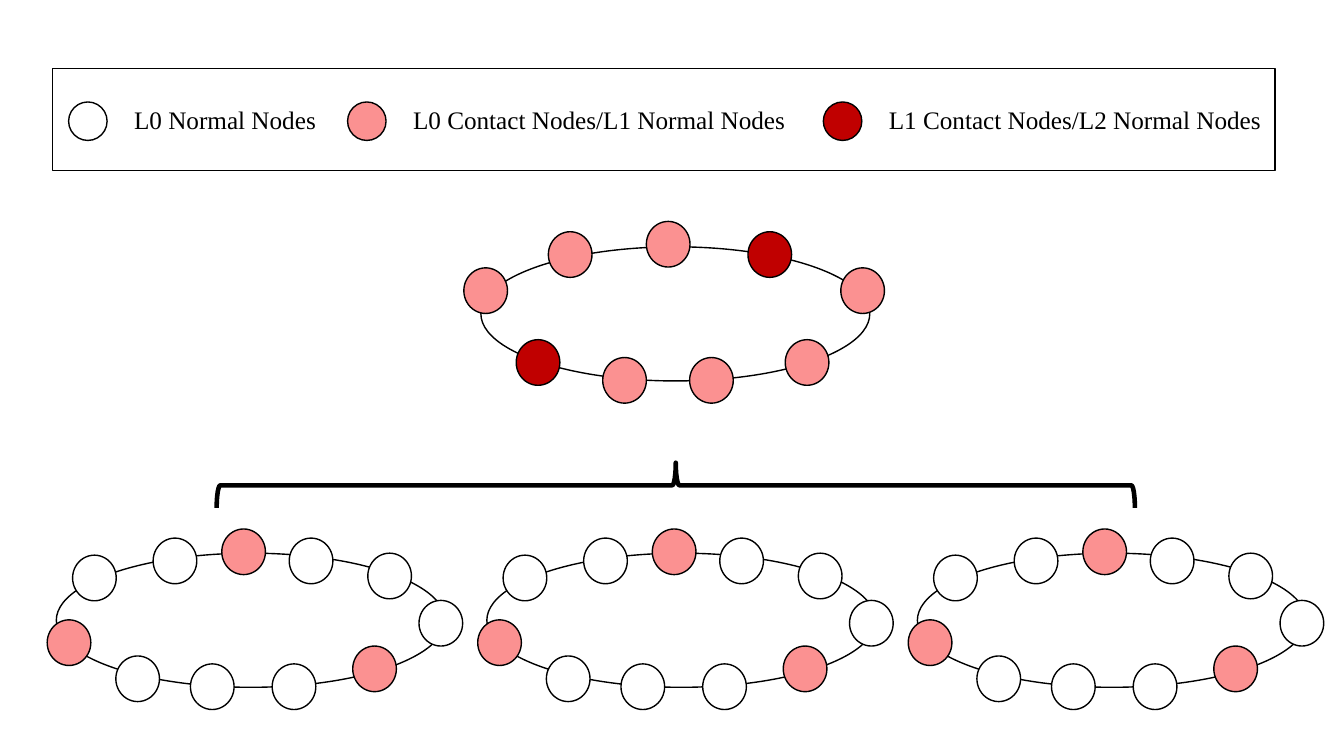
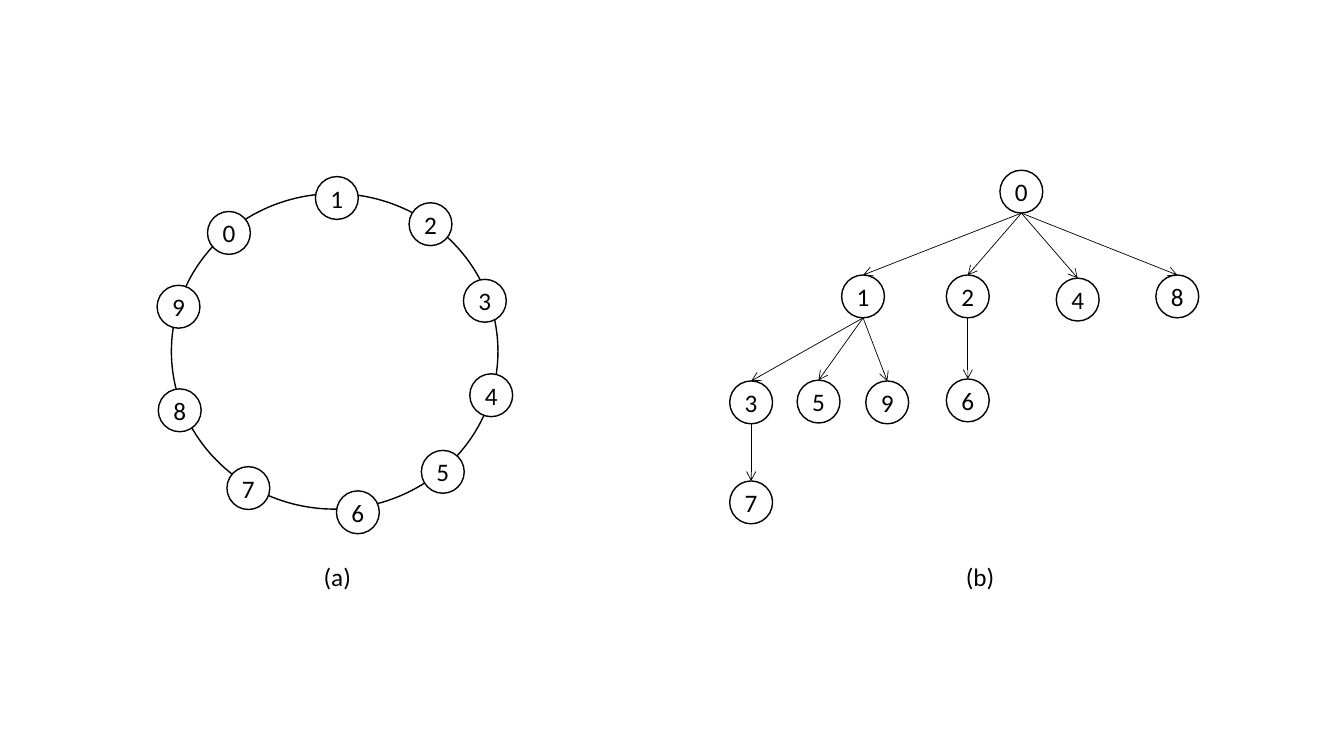
from dataclasses import dataclass

from lxml.etree import SubElement
from pptx import Presentation
from pptx.dml.color import RGBColor
from pptx.enum.shapes import MSO_CONNECTOR, MSO_SHAPE
from pptx.enum.text import MSO_ANCHOR, PP_ALIGN
from pptx.oxml.ns import qn
from pptx.util import Cm, Pt


@dataclass(frozen=True)
class Theme:
    ink: RGBColor = RGBColor(0x00, 0x00, 0x00)
    normal: RGBColor = RGBColor(0xFF, 0xFF, 0xFF)
    contact: RGBColor = RGBColor(0xFB, 0x91, 0x91)
    top_contact: RGBColor = RGBColor(0xC0, 0x00, 0x00)
    legend_font: str = "Times New Roman"
    diagram_font: str = "Calibri"
    text_size: float = 18
    outline: float = 1
    brace_line: float = 3.25
    arrow_line: float = 0.5


THEME = Theme()

# All positions and sizes below are in centimetres
RING_NODE = (1.1, 1.15)
NUMBER_NODE = 1.08
SWATCH = 0.97

# Ring nodes: left and top from the ring's corner, clockwise
UPPER_NODES = [
    (-0.43, 0.53, THEME.contact), (1.7, -0.38, THEME.contact),
    (4.17, -0.64, THEME.contact), (6.73, -0.38, THEME.top_contact),
    (9.07, 0.53, THEME.contact), (7.67, 2.34, THEME.contact),
    (5.26, 2.79, THEME.contact), (3.07, 2.79, THEME.contact),
    (0.89, 2.34, THEME.top_contact),
]
LOWER_NODES = [
    (0.41, 0.05, THEME.normal), (2.44, -0.38, THEME.normal),
    (4.17, -0.61, THEME.contact), (5.87, -0.38, THEME.normal),
    (7.85, 0, THEME.normal), (9.14, 1.19, THEME.normal),
    (7.47, 2.34, THEME.contact), (5.44, 2.79, THEME.normal),
    (3.38, 2.79, THEME.normal), (1.5, 2.59, THEME.normal),
    (-0.23, 1.68, THEME.contact),
]

# Legend: swatch left, label width, colour, label
LEGEND = [
    (1.73, 6.93, THEME.normal, "L0 Normal Nodes"),
    (8.76, 12.57, THEME.contact, "L0 Contact Nodes/L1 Normal Nodes"),
    (20.75, 10.95, THEME.top_contact, "L1 Contact Nodes/L2 Normal Nodes"),
]

# Numbered ring and tree: node number to left and top
NUMBERED_RING = {
    0: (5.23, 5.33), 1: (7.95, 4.45), 2: (10.31, 5.11), 3: (11.68, 7.04),
    4: (11.84, 9.42), 5: (10.62, 11.35), 6: (8.48, 12.37), 7: (5.72, 11.76),
    8: (3.99, 9.8), 9: (3.96, 7.19),
}
TREE_NODES = {
    0: (25.2, 4.29),
    1: (21.21, 6.93), 2: (23.85, 6.93), 4: (26.62, 7.01), 8: (29.13, 6.93),
    3: (18.39, 9.6), 5: (20.09, 9.58), 9: (21.82, 9.6), 6: (23.85, 9.55),
    7: (18.39, 12.12),
}
TREE_CHILDREN = {0: (1, 2, 4, 8), 1: (3, 5, 9), 2: (6,), 3: (7,)}


def write_text(frame, text, *, font, size=THEME.text_size, color=THEME.ink,
               align=PP_ALIGN.LEFT, wrap=True):
    frame.word_wrap = wrap
    paragraph = frame.paragraphs[0]
    paragraph.alignment = align
    run = paragraph.add_run()
    run.text = text
    run.font.name = font
    run.font.size = Pt(size)
    run.font.color.rgb = color


def add_label(slide, box, text, **text_format):
    label = slide.shapes.add_textbox(*map(Cm, box))
    write_text(label.text_frame, text, **text_format)


def add_outlined(slide, kind, box, fill=THEME.normal, line=THEME.outline):
    outlined = slide.shapes.add_shape(kind, *map(Cm, box))
    outlined.shadow.inherit = False
    if fill is None:
        outlined.fill.background()
    else:
        outlined.fill.solid()
        outlined.fill.fore_color.rgb = fill
    outlined.line.color.rgb = THEME.ink
    outlined.line.width = Pt(line)
    return outlined


def add_ring(slide, left, top, nodes):
    add_outlined(slide, MSO_SHAPE.OVAL, (left, top, 9.8, 3.38))
    for dx, dy, color in nodes:
        add_outlined(slide, MSO_SHAPE.OVAL, (left + dx, top + dy, *RING_NODE), color)


def add_numbered_node(slide, number, left, top):
    node = add_outlined(slide, MSO_SHAPE.OVAL, (left, top, NUMBER_NODE, NUMBER_NODE))
    frame = node.text_frame
    frame.margin_left = frame.margin_right = frame.margin_top = frame.margin_bottom = 0
    frame.vertical_anchor = MSO_ANCHOR.MIDDLE
    write_text(frame, str(number), font=THEME.diagram_font,
               align=PP_ALIGN.CENTER, wrap=False)
    return node


def add_branch(slide, parent, child):
    """Arrow from the bottom of the parent to the top of the child."""
    branch = slide.shapes.add_connector(
        MSO_CONNECTOR.STRAIGHT,
        parent.left + parent.width // 2, parent.top + parent.height,
        child.left + child.width // 2, child.top)
    # An oval has eight connection sites; its bottom is site 4
    joints = branch._element.find(".//" + qn("p:cNvCxnSpPr"))
    SubElement(joints, qn("a:stCxn"), id=str(parent.shape_id), idx="4")
    branch.end_connect(child, 0)
    branch.line.color.rgb = THEME.ink
    branch.line.width = Pt(THEME.arrow_line)
    outline = branch._element.spPr.find(qn("a:ln"))
    SubElement(outline, qn("a:tailEnd"), type="arrow")
    SubElement(branch._element.spPr, qn("a:effectLst"))


def add_legend(slide):
    add_outlined(slide, MSO_SHAPE.RECTANGLE, (1.32, 1.73, 30.81, 2.57))
    for left, label_width, color, text in LEGEND:
        add_outlined(slide, MSO_SHAPE.OVAL, (left, 2.57, SWATCH, SWATCH), color)
        add_label(slide, (left + 1.4, 2.5, label_width, 1.02), text,
                  font=THEME.legend_font)


def add_brace(slide):
    brace = add_outlined(slide, MSO_SHAPE.LEFT_BRACE, (16.46, 0.66, 1.14, 23.14),
                         fill=None, line=THEME.brace_line)
    brace.rotation = 90
    brace.adjustments[0] = 0.08
    brace.adjustments[1] = 0.5


def build_hierarchy(slide):
    add_brace(slide)
    add_ring(slide, 12.12, 6.22, UPPER_NODES)
    for column in range(3):
        add_ring(slide, 1.42 + 10.85 * column, 13.94, LOWER_NODES)
    add_legend(slide)


def build_ring_and_tree(slide):
    # (a) numbered ring
    add_outlined(slide, MSO_SHAPE.OVAL, (4.32, 4.88, 8.23, 7.95))
    for number, place in NUMBERED_RING.items():
        add_numbered_node(slide, number, *place)

    # (b) tree
    tree = {number: add_numbered_node(slide, number, *place)
            for number, place in TREE_NODES.items()}
    for parent, children in TREE_CHILDREN.items():
        for child in children:
            add_branch(slide, tree[parent], tree[child])

    # Captions
    for left, caption in ((7.5, "(a)"), (23.7, "(b)")):
        add_label(slide, (left, 14.02, 2, 1.02), caption,
                  font=THEME.diagram_font, align=PP_ALIGN.CENTER)


def main():
    deck = Presentation()
    deck.slide_width, deck.slide_height = Cm(33.87), Cm(19.05)
    blank = deck.slide_layouts[6]
    for build in (build_hierarchy, build_ring_and_tree):
        build(deck.slides.add_slide(blank))
    deck.save("out.pptx")


if __name__ == "__main__":
    main()
